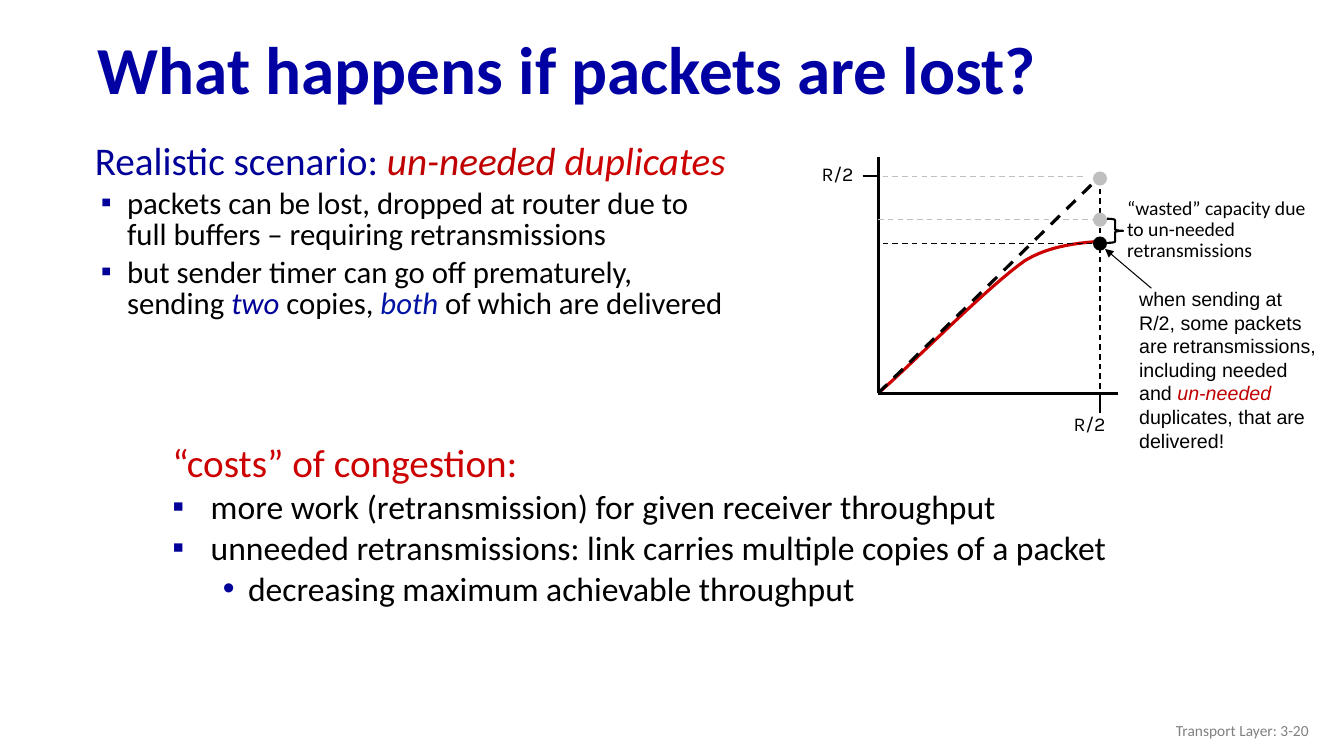
"""Build the slide on the costs of losing and duplicating packets."""
from lxml.etree import SubElement
from pptx import Presentation
from pptx.dml.color import RGBColor
from pptx.enum.dml import MSO_LINE_DASH_STYLE as Dash
from pptx.enum.shapes import MSO_CONNECTOR as Connector, MSO_SHAPE as Shape
from pptx.enum.text import MSO_ANCHOR as Anchor, MSO_AUTO_SIZE as Fit, PP_ALIGN as Align
from pptx.oxml.ns import qn
from pptx.util import Inches, Pt

BLACK, BLUE, RED, DARK_RED, GREY = "000000", "000099", "CC0000", "C00000", "BFBFBF"
WIDTH, HEIGHT = 13.33, 7.5

TITLE = [("What happens if packets are lost?", "0000A3", False)]
SCENARIO = [
    ("head", 28, [("Realistic scenario: ", BLUE, False), ("un-needed ", DARK_RED, True),
                  ("duplicates", RED, True)]),
    ("close", 22, [("packets can be lost, dropped at router due to full buffers – "
                    "requiring retransmissions", BLACK, False)]),
    ("close", 22, [("but sender timer can go off prematurely, sending ", BLACK, False),
                   ("two ", BLUE, True), ("copies, ", BLACK, False), ("both", "0013A3", True),
                   (" of which are delivered", BLACK, False)]),
]
COSTS = [
    ("head", 28, [("“costs” of congestion:", RED, False)]),
    ("wide", 24, [("more work (retransmission) for given receiver throughput", BLACK, False)]),
    ("wide", 24, [("unneeded retransmissions: link carries multiple copies of a packet",
                   BLACK, False)]),
    ("sub", 24, [("decreasing maximum achievable throughput", BLACK, False)]),
]
LIST_STYLES = {"head": (0, 0.38, 0.38, None), "close": (0, 0.32, 0.26, "▪"),
               "wide": (0, 0.38, 0.38, "▪"), "sub": (1, 0.75, 0.25, "•")}

SENDING = [("when sending at R/2, some packets are retransmissions, including needed and ",
            BLACK, False), ("un-needed", DARK_RED, True),
           (" duplicates, that are delivered!", BLACK, False)]
WASTED = [("“wasted” capacity due to un-needed retransmissions", BLACK, False)]
LIMIT = [("R/2", BLACK, False)]
FOOTER = [("Transport Layer: 3-20", "808080", False)]
LABELS = [
    (SENDING, (11.2, 2.8, 1.97, 1.75), 14, "Arial", 1),
    (WASTED, (11.08, 1.92, 1.99, 0.74), 14, "Calibri", 0.9),
    (LIMIT, (8.05, 1.56, 0.89, 0.34), 14, "Karla", 1),
    (LIMIT, (10.55, 4.04, 0.89, 0.34), 14, "Karla", 1),
]

ORIGIN_X, ORIGIN_Y, PLOT_WIDTH, PLOT_HEIGHT = 8.71, 3.9, 2.2, 2.15
WASTED_LEVEL, USEFUL_LEVEL = 0.8, 0.69
PLOT_LINES = [
    ((0, 0), (0, 1.09), BLACK, 2, False),
    ((0, 0), (1.08, 0), BLACK, 2, False),
    ((-0.07, 1), (0, 1), BLACK, 1.5, False),
    ((1, -0.01), (1, -0.09), BLACK, 1.5, False),
    ((1, 0.02), (1, 0.97), BLACK, 1, True),
    ((0.02, 1), (0.93, 1), GREY, 1, True),
    ((0, WASTED_LEVEL), (0.98, WASTED_LEVEL), GREY, 1, True),
    ((0.02, USEFUL_LEVEL), (1, USEFUL_LEVEL), BLACK, 1, True),
    ((0, 0), (1, 1), BLACK, 2.25, True),
]
DOTS = [(0.99, GREY), (WASTED_LEVEL, GREY), (USEFUL_LEVEL, BLACK)]
DOT_SIZE = 0.14
THROUGHPUT = [
    ((0, 0), (0.12, 0.1), (0.48, 0.48), (0.66, 0.61)),
    ((0.66, 0.61), (0.74, 0.66), (0.84, 0.69), (1, 0.7)),
]
CURVE_STEPS = 24


def color(value):
    return RGBColor.from_string(value)


def plot_point(share_x, share_y):
    return ORIGIN_X + share_x * PLOT_WIDTH, ORIGIN_Y - share_y * PLOT_HEIGHT


def place(shape, left, top, width, height):
    shape.left, shape.top = Inches(left), Inches(top)
    shape.width, shape.height = Inches(width), Inches(height)


def write(para, spans, size, font="Calibri", bold=False):
    for text, shade, italic in spans:
        span = para.add_run()
        span.text = text
        span.font.size, span.font.name = Pt(size), font
        span.font.bold, span.font.italic = bold, italic
        span.font.color.rgb = color(shade)


def set_bullet(para, style):
    level, margin, hanging, mark = LIST_STYLES[style]
    para.level = level
    props = para._p.get_or_add_pPr()
    props.set("marL", str(Inches(margin)))
    props.set("indent", str(-Inches(hanging)))
    if mark is None:
        SubElement(props, qn("a:buNone"))
        return
    SubElement(SubElement(props, qn("a:buClr")), qn("a:srgbClr")).set("val", BLUE)
    SubElement(props, qn("a:buFont")).set("typeface", "Arial")
    SubElement(props, qn("a:buChar")).set("char", mark)


def fill_list(body, items, frame):
    place(body, *frame)
    body.text_frame.auto_size = Fit.NONE
    for index, (style, size, spans) in enumerate(items):
        para = body.text_frame.add_paragraph() if index else body.text_frame.paragraphs[0]
        set_bullet(para, style)
        para.line_spacing = 0.85
        para.space_before = Pt(size * 0.2 if index else 0)
        write(para, spans, size)


def add_label(slide, spans, frame, size, font, spacing):
    box = slide.shapes.add_textbox(*map(Inches, frame))
    box.text_frame.word_wrap = True
    para = box.text_frame.paragraphs[0]
    para.line_spacing = spacing
    write(para, spans, size, font)
    return box


def add_line(slide, start, end, shade, weight, dashed=False):
    line = slide.shapes.add_connector(Connector.STRAIGHT, *map(Inches, start + end))
    line.line.color.rgb, line.line.width = color(shade), Pt(weight)
    if dashed:
        line.line.dash_style = Dash.DASH
    SubElement(line._element.spPr, qn("a:effectLst"))
    return line


def bezier(points, step):
    weights = ((1 - step) ** 3, 3 * step * (1 - step) ** 2, 3 * step ** 2 * (1 - step), step ** 3)
    return tuple(sum(w * point[axis] for w, point in zip(weights, points)) for axis in (0, 1))


def add_curve(slide):
    points = [tuple(map(Inches, plot_point(*bezier(part, step / CURVE_STEPS))))
              for part in THROUGHPUT for step in range(CURVE_STEPS + 1)]
    builder = slide.shapes.build_freeform(*points[0])
    builder.add_line_segments(points[1:], close=False)
    curve = builder.convert_to_shape()
    curve.shadow.inherit = False
    curve.fill.background()
    curve.line.color.rgb, curve.line.width = color(RED), Pt(2.25)


def add_plot(slide):
    add_curve(slide)
    for start, end, shade, weight, dashed in PLOT_LINES:
        add_line(slide, plot_point(*start), plot_point(*end), shade, weight, dashed)
    for level, shade in DOTS:
        x, y = plot_point(1, level)
        dot = slide.shapes.add_shape(Shape.OVAL, Inches(x - DOT_SIZE / 2),
                                     Inches(y - DOT_SIZE / 2), Inches(DOT_SIZE), Inches(DOT_SIZE))
        dot.shadow.inherit = False
        dot.fill.solid()
        dot.fill.fore_color.rgb = color(shade)
        dot.line.fill.background()
    brace = slide.shapes.add_shape(Shape.RIGHT_BRACE, *map(Inches, (10.98, 2.17, 0.16, 0.24)))
    brace.shadow.inherit = False
    brace.fill.background()
    brace.line.color.rgb, brace.line.width = color(BLACK), Pt(1.5)
    arrow = add_line(slide, (11.42, 2.86), (10.96, 2.47), BLACK, 0.75)
    SubElement(arrow.line._get_or_add_ln(), qn("a:tailEnd")).set("type", "triangle")


def main():
    deck = Presentation()
    deck.slide_width, deck.slide_height = Inches(WIDTH), Inches(HEIGHT)
    slide = deck.slides.add_slide(deck.slide_layouts[3])
    title, scenario, costs = slide.placeholders
    place(title, 0.87, 0.23, WIDTH - 0.87, 0.98)
    title.text_frame.auto_size = Fit.NONE
    title.text_frame.vertical_anchor = Anchor.MIDDLE
    heading = title.text_frame.paragraphs[0]
    heading.alignment, heading.line_spacing = Align.LEFT, 0.9
    write(heading, TITLE, 48, bold=True)
    fill_list(scenario, SCENARIO, (0.84, 1.37, 6.5, 2.28))
    fill_list(costs, COSTS, (1.61, 4.37, 10.27, 2.62))
    add_plot(slide)
    for label in LABELS:
        add_label(slide, *label)
    footer = add_label(slide, FOOTER, (10.08, 7.05, 3, 0.4), 11, "Calibri", 1)
    footer.text_frame.vertical_anchor = Anchor.MIDDLE
    footer.text_frame.paragraphs[0].alignment = Align.RIGHT
    deck.save("out.pptx")


if __name__ == "__main__":
    main()
